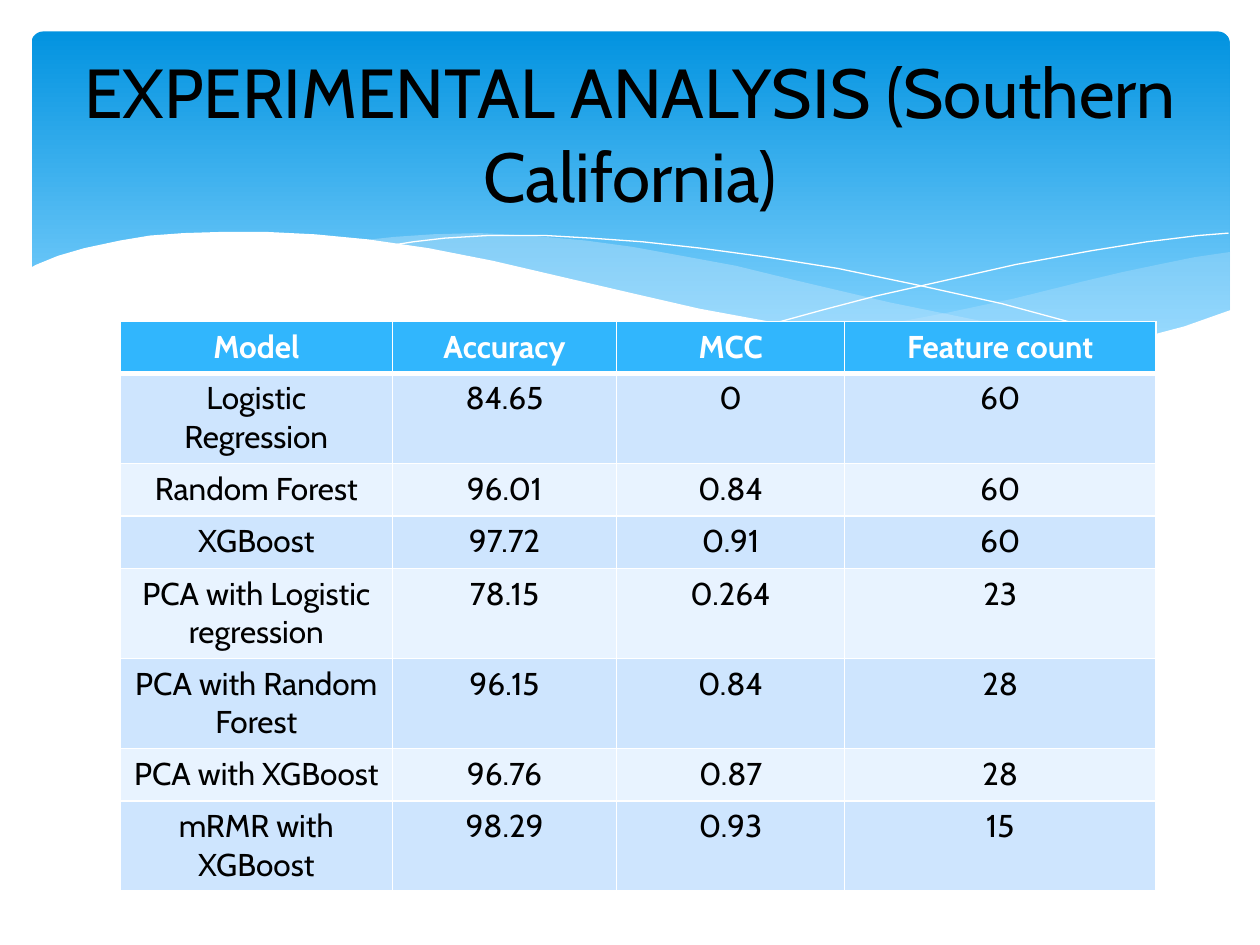
from dataclasses import dataclass

from lxml.etree import SubElement
from pptx import Presentation
from pptx.dml.color import RGBColor
from pptx.enum.shapes import MSO_SHAPE
from pptx.enum.text import MSO_ANCHOR, MSO_AUTO_SIZE, PP_ALIGN
from pptx.oxml import parse_xml
from pptx.oxml.ns import nsdecls, qn
from pptx.util import Pt


@dataclass(frozen=True)
class Theme:
    font: str = "Cabin"
    title_size: float = 39.6
    table_size: float = 18
    text: str = "000000"
    white: str = "FFFFFF"
    banner_top: str = "0293E0"
    banner_bottom: str = "83D3FE"
    swell: str = "C6E7FC"
    header: str = "31B6FD"
    bands: tuple = ("CEE5FE", "E8F3FF")


THEME = Theme()

RIGHT_SWELL = [
    (703, 144), (682.6, 147), (663, 151), (641.5, 155.5), (620, 160.6),
    (579.6, 170.6), (542, 178.6), (508, 185), (476, 191), (497.5, 193.7),
    (527, 197.3), (553.7, 199.4), (578, 200), (601, 199.4), (628, 197.3),
    (651.6, 193.7), (673, 188.6), (693.4, 181.4), (703, 177.8),
]
LONG_SWELL = [
    (643, 196.6), (602.6, 190.8), (558, 182.9), (508.3, 172.8), (452.9, 159.8),
    (420.5, 151.9), (389.5, 146.2), (361.4, 141.1), (334.8, 137.5), (302.4, 134.6),
    (273.6, 133.2), (247.7, 133.9), (225.4, 135.4), (206, 137.5), (232.6, 141.1),
    (260.6, 146.2), (290.9, 151.9), (323.3, 159.8), (353.5, 167), (381.6, 172.8),
    (420.5, 181.4), (456.5, 187.9), (489.6, 193), (519.8, 197.3), (547.9, 199.4),
    (581, 200.2), (610.6, 199.4), (630.7, 198),
]
FALLING_LINE = [
    (222.5, 140.4), (236.2, 138.2), (254.2, 136.1), (278.6, 134.6), (311.8, 134.6),
    (337.7, 136.1), (367.2, 138.2), (400.3, 141.8), (437.8, 146.9), (478.8, 153.4),
    (523.4, 162.7), (572.4, 173.5), (625.7, 187.9), (653, 195.8),
]
RISING_LINE = [
    (441.4, 185), (470.2, 177.1), (500.4, 169.2), (538.6, 160.6), (580.3, 151.2),
    (623.5, 143.3), (655.2, 138.2), (684.7, 134.6), (702, 133.2),
]
WHITE_WAVE = [
    (703.4, 177.1), (676.8, 186.5), (655.2, 192.2), (630, 196.6), (602.6, 198.7),
    (571, 198.7), (535.7, 197.3), (495.4, 193), (450.7, 185.8), (399.6, 176.4),
    (362.2, 167.8), (321.8, 158.4), (281.5, 149), (244.8, 141.8), (210.2, 136.8),
    (180, 133.9), (151.9, 132.5), (127.4, 132.5), (105.1, 133.2), (85.7, 134.6),
    (68.4, 137.5), (48.2, 141.8), (33.1, 146.2), (20.9, 151.2), (16.6, 153.4),
    (16.6, 236.9), (703.4, 236.9),
]

RESULTS = [
    ("Model", "Accuracy", "MCC", "Feature count"),
    ("Logistic Regression", "84.65", "0", "60"),
    ("Random Forest", "96.01", "0.84", "60"),
    ("XGBoost", "97.72", "0.91", "60"),
    ("PCA with Logistic regression", "78.15", "0.264", "23"),
    ("PCA with Random Forest", "96.15", "0.84", "28"),
    ("PCA with XGBoost", "96.76", "0.87", "28"),
    ("mRMR with XGBoost", "98.29", "0.93", "15"),
]
COLUMN_WIDTHS = (155.5, 128.2, 130.3, 177.8)
HEADER_HEIGHT, SINGLE_HEIGHT, DOUBLE_HEIGHT = 29.5, 30, 51.5
SINGLE_LINE_MODELS = {"Random Forest", "XGBoost", "PCA with XGBoost"}


def colour(code):
    return RGBColor.from_string(code)


def add_banner(page):
    banner = page.shapes.add_shape(
        MSO_SHAPE.ROUNDED_RECTANGLE, Pt(18), Pt(18), Pt(684.7), Pt(194.4))
    banner.adjustments[0] = 0.034
    banner.shadow.inherit = False
    banner.line.fill.background()
    banner.fill.gradient()
    banner.fill.gradient_angle = 270
    stops = zip(banner.fill.gradient_stops, (0, 0.9),
                (THEME.banner_top, THEME.banner_bottom))
    for stop, position, code in stops:
        stop.position = position
        stop.color.rgb = colour(code)


def add_outline(page, points, closed):
    corners = [(Pt(x), Pt(y)) for x, y in points]
    builder = page.shapes.build_freeform(*corners[0])
    builder.add_line_segments(corners[1:], close=closed)
    outline = builder.convert_to_shape()
    outline.shadow.inherit = False
    return outline


def add_wave(page, points, code, opacity=100):
    wave = add_outline(page, points, True)
    wave.line.fill.background()
    wave.fill.solid()
    wave.fill.fore_color.rgb = colour(code)
    if opacity < 100:
        tint = wave.element.spPr.find(qn("a:solidFill"))[0]
        SubElement(tint, qn("a:alpha")).set("val", str(opacity * 1000))


def add_curve(page, points):
    curve = add_outline(page, points, False)
    curve.fill.background()
    curve.line.color.rgb = colour(THEME.white)
    curve.line.width = Pt(0)


def write(frame, text, size, code, bold=False):
    para = frame.paragraphs[0]
    para.alignment = PP_ALIGN.CENTER
    span = para.add_run()
    span.text = text
    span.font.name = THEME.font
    span.font.size = Pt(size)
    span.font.bold = bold
    span.font.color.rgb = colour(code)


def place_title(page, text):
    title = page.shapes.title
    title.left, title.top, title.width, title.height = Pt(36), Pt(26.6), Pt(648), Pt(98.6)
    frame = title.text_frame
    frame.word_wrap = True
    frame.auto_size = MSO_AUTO_SIZE.NONE
    frame.vertical_anchor = MSO_ANCHOR.MIDDLE
    write(frame, text, THEME.title_size, THEME.text)
    title.element.getparent().append(title.element)


def set_borders(cell, widths):
    properties = cell._tc.get_or_add_tcPr()
    for index, (side, width) in enumerate(widths.items()):
        properties.insert(index, parse_xml(
            f'<a:ln{side} {nsdecls("a")} w="{Pt(width)}"><a:solidFill>'
            f'<a:srgbClr val="{THEME.white}"/></a:solidFill></a:ln{side}>'))


def row_height(index, model):
    if index == 0:
        return HEADER_HEIGHT
    return SINGLE_HEIGHT if model in SINGLE_LINE_MODELS else DOUBLE_HEIGHT


def add_results(page):
    heights = [row_height(index, row[0]) for index, row in enumerate(RESULTS)]
    table = page.shapes.add_table(
        len(RESULTS), len(COLUMN_WIDTHS), Pt(68.7), Pt(183.8),
        Pt(sum(COLUMN_WIDTHS)), Pt(sum(heights))).table
    for column, width in zip(table.columns, COLUMN_WIDTHS):
        column.width = Pt(width)
    for index, values in enumerate(RESULTS):
        table.rows[index].height = Pt(heights[index])
        header = index == 0
        fill = THEME.header if header else THEME.bands[(index - 1) % 2]
        ink = THEME.white if header else THEME.text
        borders = {"L": 1, "R": 1, "T": 3 if index == 1 else 1, "B": 3 if header else 1}
        for position, value in enumerate(values):
            cell = table.cell(index, position)
            cell.fill.solid()
            cell.fill.fore_color.rgb = colour(fill)
            set_borders(cell, borders)
            write(cell.text_frame, value, THEME.table_size, ink, header)


def main():
    deck = Presentation()
    deck.slide_width, deck.slide_height = Pt(720), Pt(540)
    page = deck.slides.add_slide(deck.slide_layouts[5])
    add_banner(page)
    add_wave(page, RIGHT_SWELL, THEME.swell, 29)
    add_wave(page, LONG_SWELL, THEME.swell, 40)
    add_curve(page, FALLING_LINE)
    add_curve(page, RISING_LINE)
    add_wave(page, WHITE_WAVE, THEME.white)
    place_title(page, "EXPERIMENTAL ANALYSIS (Southern California)")
    add_results(page)
    deck.save("out.pptx")


if __name__ == "__main__":
    main()
